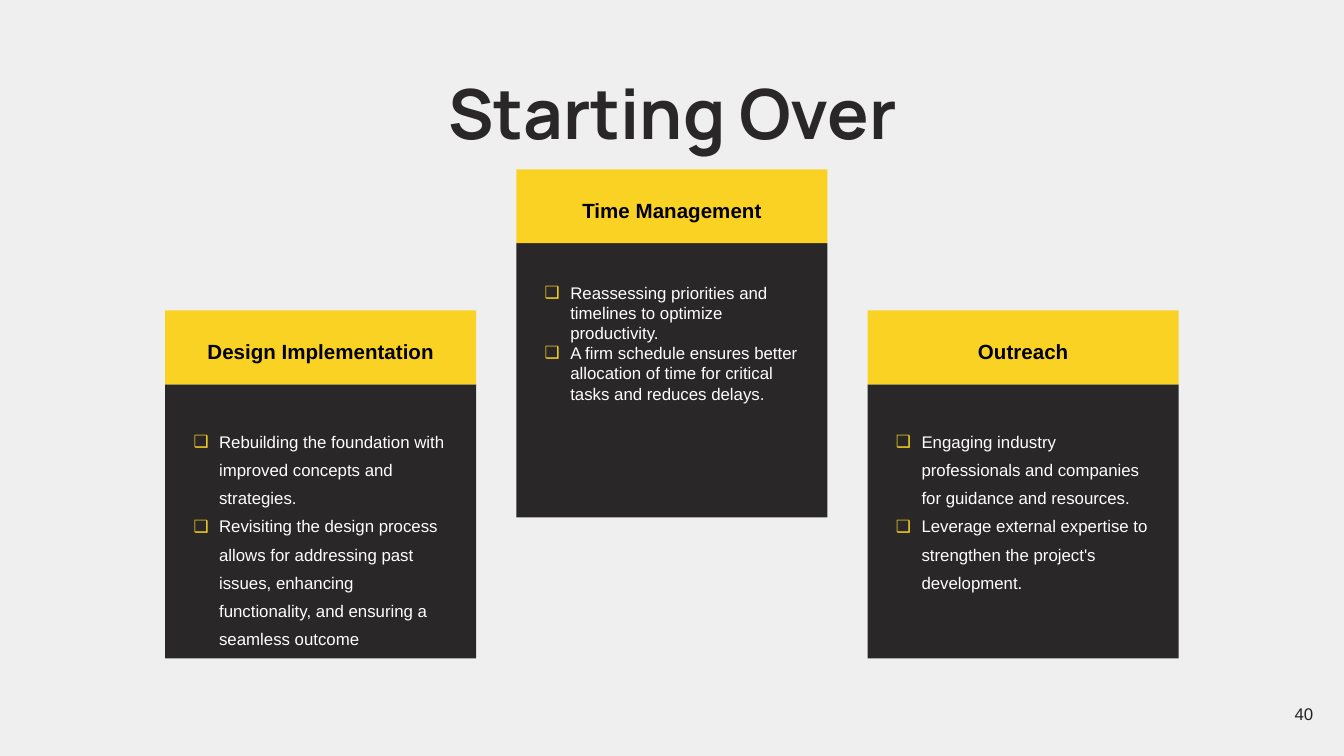
from lxml.etree import SubElement
from pptx import Presentation
from pptx.dml.color import RGBColor
from pptx.enum.shapes import MSO_SHAPE as Shape
from pptx.enum.text import MSO_ANCHOR as Anchor, MSO_AUTO_SIZE as AutoSize, PP_ALIGN as Align
from pptx.oxml.ns import qn
from pptx.util import Inches, Pt

# Slide grid, in inches (16:9)
WIDTH = 10
HEIGHT = WIDTH * 9 / 16
MARGIN, GAP, COLUMNS = 1.23, 0.3, 3
CARD_WIDTH = (WIDTH - 2 * MARGIN - (COLUMNS - 1) * GAP) / COLUMNS
HEADER_HEIGHT, BODY_HEIGHT = 0.55, 2.04
PADDING, LIST_OFFSET, INDENT = 0.21, 0.29, 0.19

PAPER, DARK, YELLOW = "EFEFEF", "292727", "FAD224"
WHITE, BLACK, GREY = "FFFFFF", "000000", "212121"

# Heading, card top, line spacing, list items
CARDS = [
    ("Design Implementation", 2.31, 1.4, [
        "Rebuilding the foundation with improved concepts and strategies.",
        "Revisiting the design process allows for addressing past issues, "
        "enhancing functionality, and ensuring a seamless outcome"]),
    ("Time Management", 1.26, 1.0, [
        "Reassessing priorities and timelines to optimize productivity.",
        "A firm schedule ensures better allocation of time for critical "
        "tasks and reduces delays."]),
    ("Outreach", 2.31, 1.4, [
        "Engaging industry professionals and companies for guidance and resources.",
        "Leverage external expertise to strengthen the project's development."]),
]


def color(hex_string):
    return RGBColor.from_string(hex_string)


def place(box, left, top, width, height):
    box.left, box.top = Inches(left), Inches(top)
    box.width, box.height = Inches(width), Inches(height)


def add_block(page, left, top, height, fill):
    block = page.shapes.add_shape(Shape.RECTANGLE, Inches(left), Inches(top),
                                  Inches(CARD_WIDTH), Inches(height))
    block.shadow.inherit = False
    block.fill.solid()
    block.fill.fore_color.rgb = color(fill)
    block.line.fill.background()


def add_bullet(para):
    properties = para._p.get_or_add_pPr()
    properties.set("marL", str(Inches(INDENT)))
    properties.set("indent", str(-Inches(INDENT)))
    tint = SubElement(properties, qn("a:buClr"))
    SubElement(tint, qn("a:srgbClr"), val=YELLOW)
    SubElement(properties, qn("a:buChar"), char="❑")


def write(box, *lines, size=9, font="Arial", ink=BLACK, bold=False, align=Align.LEFT,
          spacing=1.0, anchor=Anchor.TOP, inset=0, bullet=False):
    frame = box.text_frame
    frame.word_wrap, frame.auto_size = True, AutoSize.NONE
    frame.vertical_anchor = anchor
    frame.margin_left = frame.margin_right = Inches(inset)
    frame.margin_top = frame.margin_bottom = Inches(inset)
    for index, line in enumerate(lines):
        para = frame.add_paragraph() if index else frame.paragraphs[0]
        if bullet:
            add_bullet(para)
        para.alignment, para.line_spacing = align, spacing
        para.space_before = para.space_after = Pt(0)
        span = para.add_run()
        span.text = line
        span.font.name, span.font.size = font, Pt(size)
        span.font.bold, span.font.color.rgb = bold, color(ink)


def add_text(page, text, left, top, width, height, **style):
    box = page.shapes.add_textbox(0, 0, 0, 0)
    place(box, left, top, width, height)
    write(box, text, **style)


def add_card(page, body, column, heading, top, spacing, items):
    left = MARGIN + column * (CARD_WIDTH + GAP)
    body_top = top + HEADER_HEIGHT
    text_left, text_width = left + PADDING, CARD_WIDTH - 2 * PADDING
    add_block(page, left, body_top, BODY_HEIGHT, DARK)
    add_block(page, left, top, HEADER_HEIGHT, YELLOW)
    add_text(page, heading, text_left, top + 0.14, text_width, 0.26,
             size=11, bold=True, align=Align.CENTER, spacing=1.4)
    # Lift the list above the card
    body.element.getparent().append(body.element)
    place(body, text_left, body_top + LIST_OFFSET, text_width, BODY_HEIGHT - LIST_OFFSET)
    write(body, *items, ink=WHITE, spacing=spacing, bullet=True)


def main():
    deck = Presentation()
    deck.slide_width, deck.slide_height = Inches(WIDTH), Inches(HEIGHT)
    page = deck.slides.add_slide(deck.slide_layouts.get_by_name("Comparison"))
    page.background.fill.solid()
    page.background.fill.fore_color.rgb = color(PAPER)

    # Title
    title, *bodies = page.placeholders
    place(title, 1.31, 0.46, 7.39, 0.69)
    write(title, "Starting Over", size=37, font="Manrope", ink=DARK, bold=True,
          align=Align.CENTER, spacing=1.11)

    # Cards, one list placeholder each
    for column, (body, card) in enumerate(zip(bodies, CARDS)):
        add_card(page, body, column, *card)
    for spare in bodies[len(CARDS):]:
        spare.element.getparent().remove(spare.element)

    # Page number
    add_text(page, "40", 9.27, 5.1, 0.6, 0.43, ink=GREY, align=Align.RIGHT,
             anchor=Anchor.MIDDLE, inset=0.1)
    deck.save("out.pptx")


if __name__ == "__main__":
    main()
